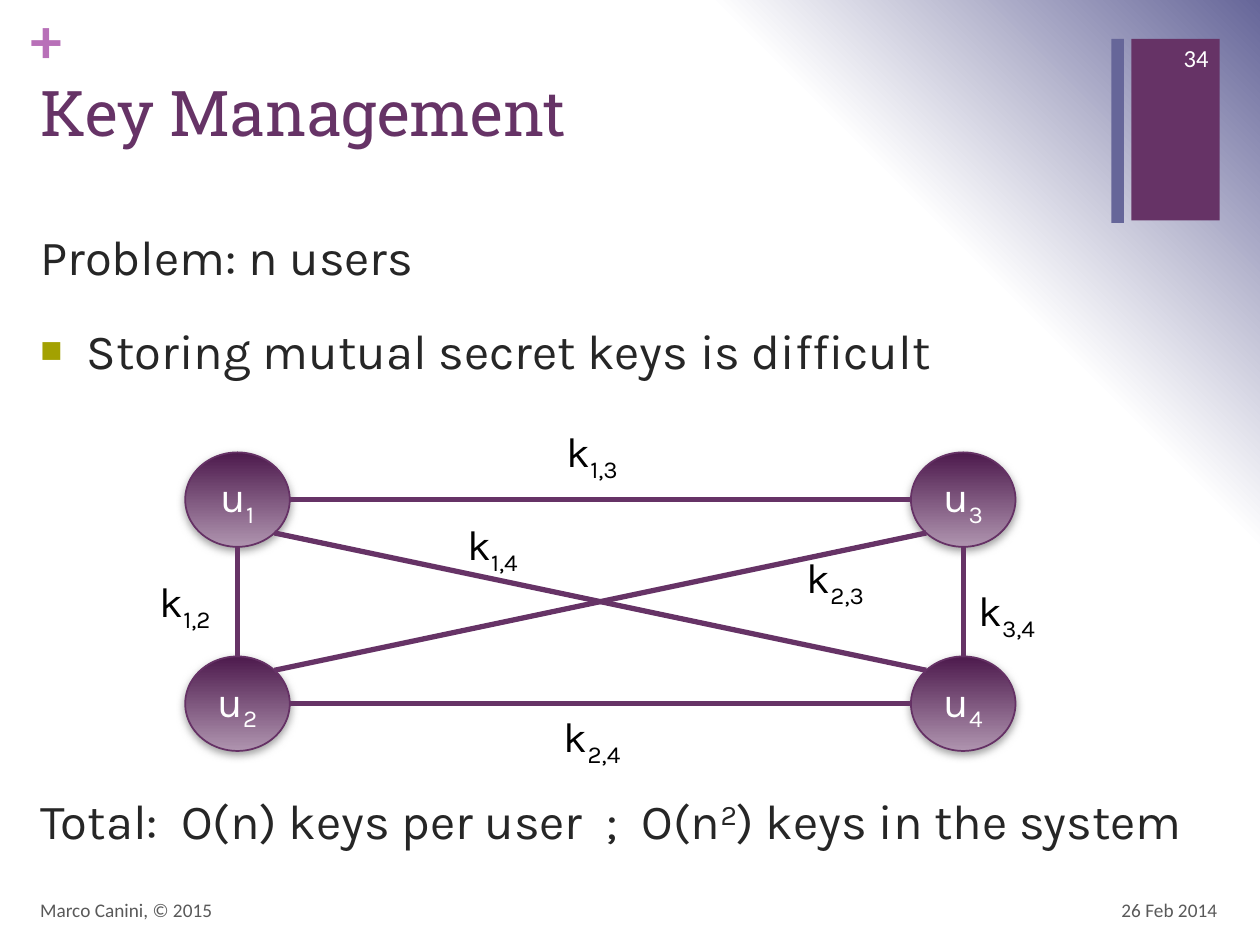
from math import sqrt

from lxml import etree
from pptx import Presentation, util as u
from pptx.dml.color import RGBColor
from pptx.enum import shapes, text
from pptx.oxml.ns import qn

PURPLE = RGBColor(0x66, 0x33, 0x66)
NODE_EDGE = RGBColor(0x65, 0x31, 0x65)
NODE_TOP = RGBColor(0x4D, 0x1A, 0x4D)
NODE_BOTTOM = RGBColor(0xAF, 0x94, 0xAF)
SLATE = RGBColor(0x66, 0x66, 0x99)
ORCHID = RGBColor(0xB8, 0x70, 0xB8)
OLIVE = RGBColor(0xA3, 0xA1, 0x01)
INK = RGBColor(0x26, 0x26, 0x26)
GREY = RGBColor(0x59, 0x59, 0x59)
SHADOW = RGBColor(0x80, 0x80, 0x80)
BLACK = RGBColor(0, 0, 0)
WHITE = RGBColor(0xFF, 0xFF, 0xFF)

HEAD, BODY, SMALL = "Roboto Slab", "Karla", "Calibri"
LEFT, CENTER, RIGHT = text.PP_ALIGN.LEFT, text.PP_ALIGN.CENTER, text.PP_ALIGN.RIGHT
TOP, MIDDLE = text.MSO_ANCHOR.TOP, text.MSO_ANCHOR.MIDDLE
FIT, FIXED = text.MSO_AUTO_SIZE.SHAPE_TO_FIT_TEXT, text.MSO_AUTO_SIZE.NONE


def sub(parent, tag, **attrs):
    return etree.SubElement(parent, qn(tag), {k: str(v) for k, v in attrs.items()})


def gradient(fill_parent, stops, tag, **attrs):
    """Swap the solid fill of fill_parent for a gradient; return its direction element."""
    solid = fill_parent.find(qn("a:solidFill"))
    grad = etree.Element(qn("a:gradFill"), rotWithShape="1")
    gs_list = sub(grad, "a:gsLst")
    for pos, color in stops:
        sub(sub(gs_list, "a:gs", pos=pos * 1000), "a:srgbClr", val=color)
    fill_parent.replace(solid, grad)
    return sub(grad, tag, **attrs)


class Deck:
    def __init__(self):
        self.prs = Presentation()
        self.prs.slide_width, self.prs.slide_height = u.Inches(10), u.Inches(7.5)
        self.s = self.prs.slides.add_slide(self.prs.slide_layouts[1])

    def background(self, stops):
        self.s.background.fill.solid()
        bg = self.s._element.xpath(".//p:bgPr")[0]
        way = gradient(bg, stops, "a:path", path="circle")
        sub(way, "a:fillToRect", l=0, t=100000, r=100000, b=0)

    def frame(self, sp, **fmt):
        values = {"word_wrap": True, "auto_size": FIXED, "vertical_anchor": TOP, **fmt}
        for name, value in values.items():
            setattr(sp.text_frame, name, value)
        return sp.text_frame

    def add_runs(self, p, runs, size, font, color, align=LEFT, bold=False):
        """Fill a paragraph from (text, baseline percent) pairs."""
        p.alignment = align
        fmt = {"size": u.Pt(size), "name": font, "bold": bold}
        for words, baseline in runs:
            r = p.add_run()
            r.text = words
            for name, value in fmt.items():
                setattr(r.font, name, value)
            r.font.color.rgb = color
            if baseline:
                r._r.get_or_add_rPr().set("baseline", str(baseline * 1000))

    def placeholder(self, index, box):
        sp = self.s.placeholders[index]
        for name, value in zip(("left", "top", "width", "height"), box):
            setattr(sp, name, u.Inches(value))
        return self.frame(sp)

    def title(self, words, box):
        self.add_runs(self.placeholder(0, box).paragraphs[0], [(words, 0)], 36, HEAD, PURPLE)

    def body(self, items, box):
        """Each item is (runs, space before, bulleted)."""
        tf = self.placeholder(1, box)
        for i, (runs, before, bulleted) in enumerate(items):
            p = tf.paragraphs[0] if i == 0 else tf.add_paragraph()
            p.space_before = u.Pt(before)
            self.add_runs(p, runs, 28, BODY, INK)
            pPr = p._p.get_or_add_pPr()
            indent = u.Inches(0.37) if bulleted else 0
            pPr.set("marL", str(indent))
            pPr.set("indent", str(-indent))
            if bulleted:
                sub(sub(pPr, "a:buClr"), "a:srgbClr", val=OLIVE)
                sub(pPr, "a:buSzPct", val=75000)
                sub(pPr, "a:buChar", char="■")
            else:
                sub(pPr, "a:buNone")

    def label(self, runs, box, size, font, color, align=LEFT, bold=False, **fmt):
        sp = self.s.shapes.add_textbox(*map(u.Inches, box))
        tf = self.frame(sp, **fmt)
        self.add_runs(tf.paragraphs[0], runs, size, font, color, align, bold)

    def shape(self, kind, box, color):
        sp = self.s.shapes.add_shape(kind, *map(u.Inches, box))
        sp.shadow.inherit = False
        sp.fill.solid()
        sp.fill.fore_color.rgb = color
        sp.line.fill.background()
        return sp

    def node(self, number, box):
        sp = self.shape(shapes.MSO_SHAPE.OVAL, box, NODE_TOP)
        sp.line.color.rgb, sp.line.width = NODE_EDGE, u.Pt(1)
        spPr = sp._element.spPr
        gradient(spPr, [(0, NODE_TOP), (100, NODE_BOTTOM)], "a:lin", ang=5400000, scaled=0)
        shadow = sub(spPr.find(qn("a:effectLst")), "a:outerShdw", blurRad=u.Pt(5),
                     dist=u.Pt(2), dir=5400000, rotWithShape=0)
        sub(sub(shadow, "a:srgbClr", val=SHADOW), "a:alpha", val=75000)
        tf = self.frame(sp, vertical_anchor=MIDDLE)
        self.add_runs(tf.paragraphs[0], [("u", 0), (number, -25)], 24, BODY, WHITE, CENTER)

    def line(self, start, end):
        ln = self.s.shapes.add_connector(shapes.MSO_CONNECTOR.STRAIGHT,
                                         *map(u.Inches, (*start, *end)))
        ln.line.color.rgb, ln.line.width = PURPLE, u.Pt(3)
        sub(ln._element.spPr, "a:effectLst")


def main():
    d = Deck()

    # Background and corner decoration
    d.background([(0, WHITE), (75, WHITE), (100, SLATE)])
    d.shape(shapes.MSO_SHAPE.RECTANGLE, (8.98, 0.31, 0.7, 1.44), PURPLE)
    d.shape(shapes.MSO_SHAPE.RECTANGLE, (8.82, 0.31, 0.1, 1.46), SLATE)
    no_margin = dict.fromkeys(("margin_left", "margin_top", "margin_right", "margin_bottom"), 0)
    d.label([("+", 0)], (0.24, 0, 0.29, 0.61), 36, SMALL, ORCHID, bold=True,
            auto_size=FIT, **no_margin)

    # Title and text; the last line sits below the diagram
    d.title("Key Management", (0.22, 0.53, 8.59, 1.22))
    d.body([
        ([("Problem: n users", 0)], 20, False),
        ([("Storing mutual secret keys is difficult", 0)], 20, True),
        ([("Total:  O(n) keys per user  ;  O(n", 0), ("2", 30),
          (") keys in the system", 0)], 235, False),
    ], (0.22, 1.75, 9.54, 5.27))

    # Users at the corners of a grid, numbered down each column
    w, h = 0.83, 0.75
    places = [(x, y) for x in (1.47, 7.23) for y in (3.59, 5.21)]
    centers = {}
    for number, (x, y) in enumerate(places, 1):
        d.node(str(number), (x, y, w, h))
        centers[number] = (x + w / 2, y + h / 2)

    # One line and one key label for each pair of users
    keys = {(1, 3): (4.36, 3.33), (1, 2): (1.13, 4.52), (1, 4): (3.57, 4.07),
            (2, 4): (4.36, 5.59), (3, 4): (7.65, 4.59), (2, 3): (6.29, 4.33)}
    for (a, b), (left, top) in keys.items():
        (ax, ay), (bx, by) = centers[a], centers[b]
        sx, sy = (bx > ax) - (bx < ax), (by > ay) - (by < ay)
        reach = sqrt(sx * sx + sy * sy)
        dx, dy = sx * w / 2 / reach, sy * h / 2 / reach
        d.line((ax + dx, ay + dy), (bx - dx, by - dy))
        d.label([("k", 0), (f"{a},{b}", -25)], (left, top, 0.68, 0.5), 24, BODY, BLACK,
                CENTER, word_wrap=False, auto_size=FIT)

    # Footer and slide number
    for words, box, size, color, align in [
        ("26 Feb 2014", (7.43, 7.02, 2.33, 0.4), 11, GREY, RIGHT),
        ("Marco Canini, © 2015", (0.22, 7.02, 6.7, 0.4), 11, GREY, LEFT),
        ("34", (9.08, 0.26, 0.61, 0.4), 14, WHITE, RIGHT),
    ]:
        d.label([(words, 0)], box, size, SMALL, color, align, vertical_anchor=MIDDLE)

    d.prs.save("out.pptx")


if __name__ == "__main__":
    main()
